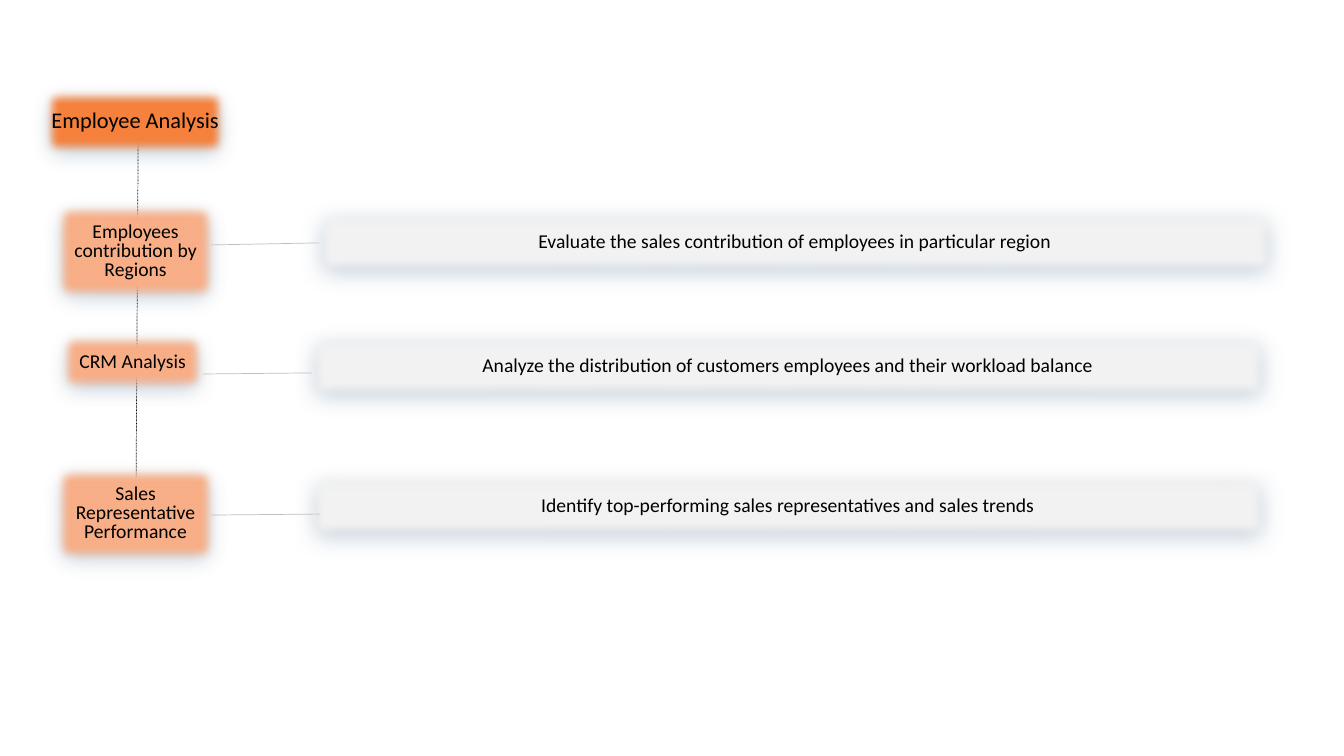
"""Builds a slide that breaks employee analysis into three topics."""
from lxml.etree import SubElement
from pptx import Presentation
from pptx.dml.color import RGBColor
from pptx.enum.dml import MSO_LINE
from pptx.enum.shapes import MSO_CONNECTOR, MSO_SHAPE
from pptx.enum.text import MSO_ANCHOR, PP_ALIGN
from pptx.oxml.ns import qn
from pptx.util import Inches, Pt

HUES = {"head": "F5813C", "topic": "F9AF87", "note": "F2F2F2", "edge": "43739E",
        "shade": "1F4E79", "text": "000000", "link": "BFBFBF"}
STYLES = {"head": (16, 0.8), "topic": (14, 0.8), "note": (14, 0.9)}

deck = Presentation()
deck.slide_width, deck.slide_height = Inches(13.33), Inches(7.5)
slide = deck.slides.add_slide(deck.slide_layouts[6])
wide, high = deck.slide_width / 100, deck.slide_height / 100


def add_box(kind, text, left, top, width, height):
    size, gap = STYLES[kind]
    box = slide.shapes.add_shape(MSO_SHAPE.RECTANGLE, int(left * wide), int(top * high),
                                 int(width * wide), int(height * high))
    box.fill.solid()
    box.fill.fore_color.rgb = RGBColor.from_string(HUES[kind])
    box.line.color.rgb = RGBColor.from_string(HUES["edge"])
    box.line.width = Pt(1)
    box.shadow.inherit = False
    effects = box._element.spPr.find(qn("a:effectLst"))
    shade = SubElement(effects, qn("a:outerShdw"), blurRad=str(Pt(15)), dist=str(Pt(4)),
                       dir="5400000", algn="t", rotWithShape="0")
    hue = SubElement(shade, qn("a:srgbClr"), val=HUES["shade"])
    SubElement(hue, qn("a:alpha"), val="39000")
    SubElement(effects, qn("a:softEdge"), rad=str(Pt(8)))
    frame = box.text_frame
    frame.word_wrap = True
    frame.vertical_anchor = MSO_ANCHOR.MIDDLE
    para = frame.paragraphs[0]
    para.alignment = PP_ALIGN.CENTER
    para.line_spacing = gap
    run = para.add_run()
    run.text = text
    run.font.name, run.font.size = "Calibri", Pt(size)
    run.font.color.rgb = RGBColor.from_string(HUES["text"])


def add_link(hue, left, top, right, low):
    link = slide.shapes.add_connector(MSO_CONNECTOR.STRAIGHT, int(left * wide), int(top * high),
                                      int(right * wide), int(low * high))
    link.line.color.rgb = RGBColor.from_string(HUES[hue])
    link.line.width = Pt(0.5)
    SubElement(link._element.spPr, qn("a:effectLst"))
    return link


trunk = add_link("text", 10.28, 18.93, 10.13, 63.2)
trunk.line.dash_style = MSO_LINE.ROUND_DOT

add_box("head", "Employee Analysis", 2.93, 11.2, 14.25, 10)

topics = [
    ("Employees contribution by Regions", 3.75, 26.27, 12.68, 14),
    ("CRM Analysis", 4.13, 43.47, 11.48, 8.93),
    ("Sales Representative Performance", 3.75, 61.07, 12.68, 13.87),
]
for topic in topics:
    add_box("topic", *topic)

notes = [
    ("Evaluate the sales contribution of employees in particular region", 23.18, 27.07),
    ("Analyze the distribution of customers employees and their workload balance", 22.66, 43.47),
    ("Identify top-performing sales representatives and sales trends", 22.66, 62),
]
for text, left, top in notes:
    add_box("note", text, left, top, 71.94, 9.8)

for left, top, low in [(15.68, 32.4, 32.13), (15.08, 49.47, 49.33), (15.68, 68.13, 68)]:
    add_link("link", left, top, left + 8.1, low)

deck.save("out.pptx")
